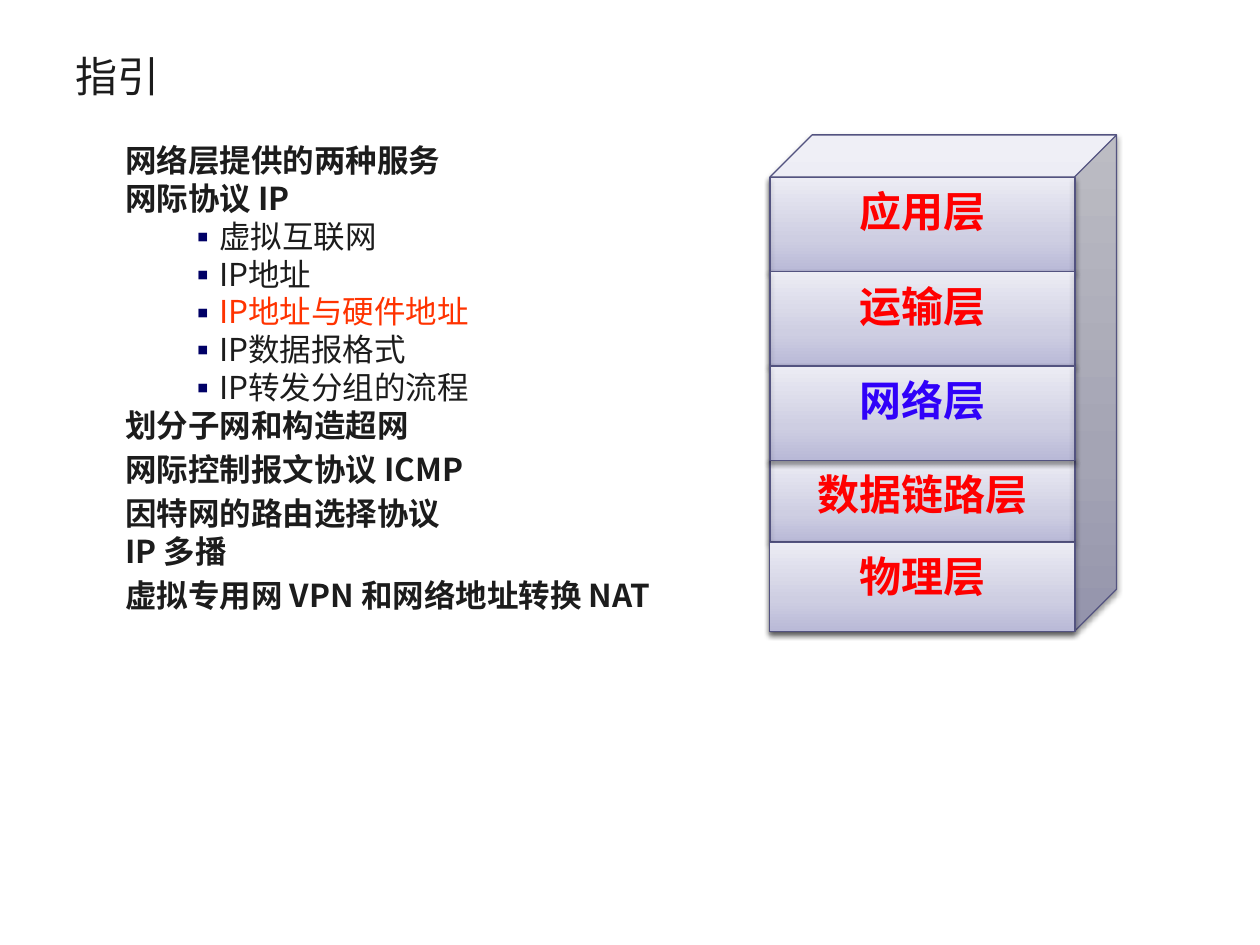
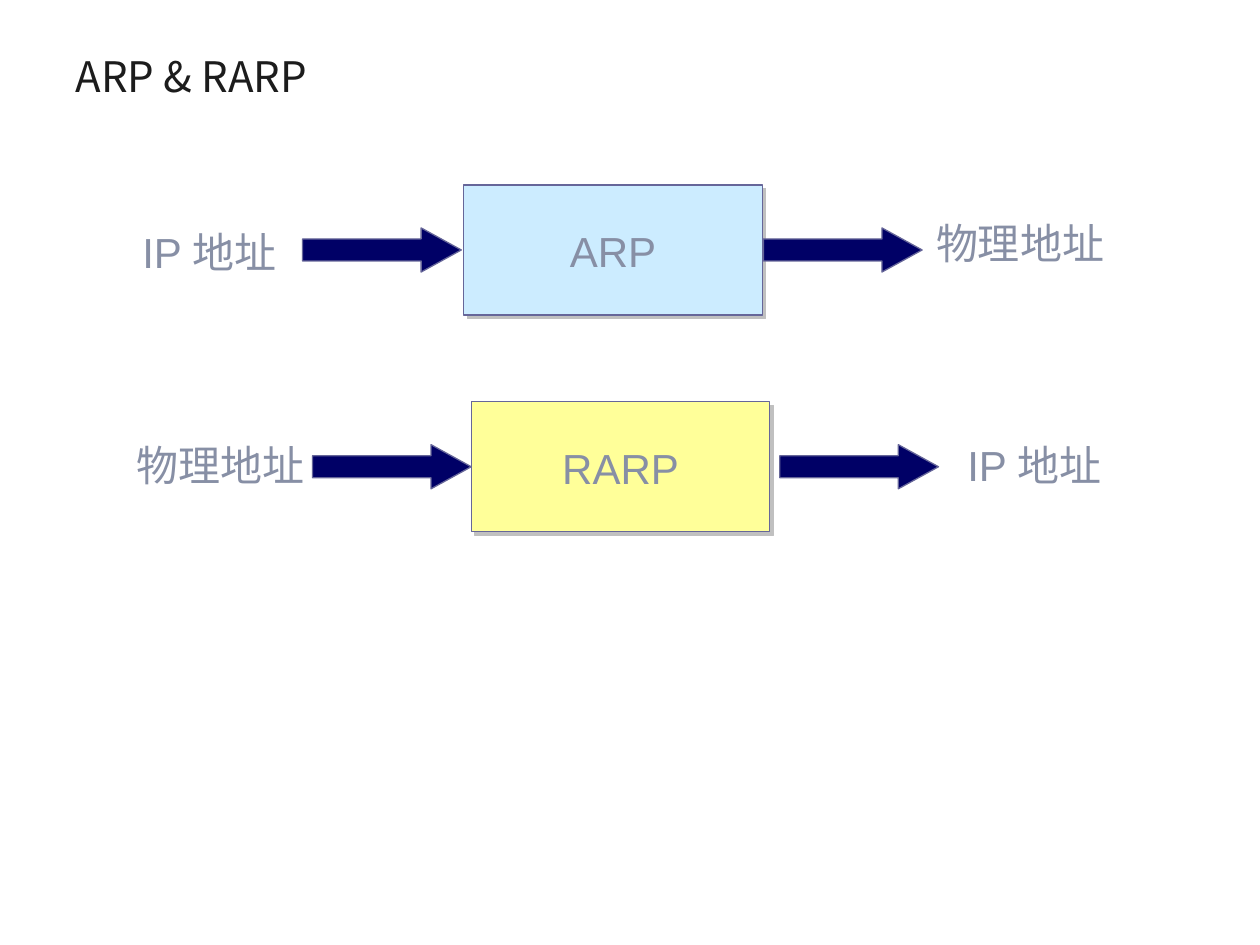
from copy import deepcopy
from dataclasses import dataclass
from typing import Optional

from lxml.etree import SubElement
from pptx import Presentation
from pptx.dml.color import RGBColor
from pptx.enum.shapes import MSO_CONNECTOR, MSO_SHAPE
from pptx.enum.text import MSO_ANCHOR, MSO_AUTO_SIZE, PP_ALIGN
from pptx.oxml.ns import qn
from pptx.util import Cm, Pt

CJK = "Noto Sans CJK SC"
INK, NAVY, RED, BLUE, ORANGE = "1C1C1C", "000066", "FF0000", "3001F9", "FF3300"
GREY, EDGE, OUTLINE = "878FA5", "535380", "666699"
LAYER_GRADIENT = [(0, "B9B9D7"), (0.35, "CECEE2"), (1, "ECECF4")]


@dataclass(frozen=True)
class Shadow:
    color: str
    alpha: int
    blur: float
    distance: float
    angle: int


SOFT = Shadow("000000", 38, 3.1, 1.6, 90)
HARD = Shadow("C0C0C0", 100, 0, 2.8, 45)


@dataclass(frozen=True)
class Item:
    text: str
    level: int = 0
    color: str = INK
    spaced: bool = False


@dataclass(frozen=True)
class Layer:
    name: str
    top: float
    height: float
    font: str = "Lato"
    color: str = RED
    rules: tuple = ()
    sides: bool = True


@dataclass(frozen=True)
class Label:
    text: str
    left: float
    top: float
    width: float


@dataclass(frozen=True)
class Mapping:
    """A protocol box with its input, its output and an arrow on each side."""
    protocol: str
    fill: str
    left: float
    top: float
    arrows: tuple
    labels: tuple


OUTLINE_ITEMS = [
    Item("网络层提供的两种服务"),
    Item("网际协议 IP"),
    Item("虚拟互联网", 1),
    Item("IP地址", 1),
    Item("IP地址与硬件地址", 1, ORANGE),
    Item("IP数据报格式", 1),
    Item("IP转发分组的流程", 1),
    Item("划分子网和构造超网"),
    Item("网际控制报文协议 ICMP", spaced=True),
    Item("因特网的路由选择协议", spaced=True),
    Item("IP 多播"),
    Item("虚拟专用网 VPN 和网络地址转换 NAT", spaced=True),
]

STACK_LEFT, STACK_WIDTH = 15.52, 6.15
LAYERS = [
    Layer("应用层", 3.58, 1.9, CJK, rules=(5.48,)),
    Layer("运输层", 5.48, 1.9, CJK, rules=(7.38,)),
    Layer("数据链路层", 9.28, 1.65, rules=(9.28,)),
    Layer("网络层", 7.38, 1.9, color=BLUE),
    Layer("物理层", 10.93, 1.8, sides=False),
]

BOX_WIDTH, BOX_HEIGHT = 6.02, 2.62
ARROW_WIDTH, ARROW_HEIGHT = 3.2, 0.89
IP_WIDTH, PHYSICAL_WIDTH, LABEL_HEIGHT = 3.25, 3.94, 1.27
MAPPINGS = [
    Mapping("ARP", "CCECFF", 9.35, 3.73, (6.1, 15.39),
            (Label("IP 地址", 2.62, 4.39, IP_WIDTH),
             Label("物理地址", 18.62, 4.22, PHYSICAL_WIDTH))),
    Mapping("RARP", "FFFF99", 9.5, 8.1, (6.3, 15.72),
            (Label("物理地址", 2.51, 8.69, PHYSICAL_WIDTH),
             Label("IP 地址", 19.25, 8.69, IP_WIDTH))),
]


def rgb(color: str) -> RGBColor:
    return RGBColor.from_string(color)


def add_run(p, text: str, size: float, font: str, color: str, bold: bool = False) -> None:
    r = p.add_run()
    r.text = text
    r.font.size, r.font.name, r.font.bold = Pt(size), font, bold
    r.font.color.rgb = rgb(color)
    SubElement(r.font._element, qn("a:ea"), typeface=CJK)


def place(shape, left: float, top: float, width: float, height: float) -> None:
    shape.left, shape.top, shape.width, shape.height = map(Cm, (left, top, width, height))


def set_line(shape, color: str) -> None:
    shape.line.color.rgb = rgb(color)
    shape.line.width = Pt(0.75)


def set_shadow(shape, shadow: Optional[Shadow]) -> None:
    """Call after fill and line, as the effects come last."""
    effects = SubElement(shape._element.spPr, qn("a:effectLst"))
    if shadow:
        outer = SubElement(effects, qn("a:outerShdw"), blurRad=str(Pt(shadow.blur)),
                           dist=str(Pt(shadow.distance)), dir=str(shadow.angle * 60000),
                           algn="ctr", rotWithShape="0")
        clr = SubElement(outer, qn("a:srgbClr"), val=shadow.color)
        SubElement(clr, qn("a:alpha"), val=str(shadow.alpha * 1000))


def set_layer_fill(shape) -> None:
    """Three-stop gradient that lightens from bottom to top."""
    shape.fill.gradient()
    shape.fill.gradient_angle = 90
    stops = shape._element.spPr.find(".//" + qn("a:gsLst"))
    stops.insert(1, deepcopy(stops[0]))
    for stop, (position, color) in zip(shape.fill.gradient_stops, LAYER_GRADIENT):
        stop.position = position
        stop.color.rgb = rgb(color)


def add_block(shapes, kind, left: float, top: float, width: float, height: float,
              fill: Optional[str], line: str, shadow: Optional[Shadow]):
    """A preset shape; without a fill colour it gets the layer gradient."""
    shape = shapes.add_shape(kind, Cm(left), Cm(top), Cm(width), Cm(height))
    if fill:
        shape.fill.solid()
        shape.fill.fore_color.rgb = rgb(fill)
    else:
        set_layer_fill(shape)
    set_line(shape, line)
    set_shadow(shape, shadow)
    return shape


def add_edge(shapes, x1: float, y1: float, x2: float, y2: float) -> None:
    line = shapes.add_connector(MSO_CONNECTOR.STRAIGHT, Cm(x1), Cm(y1), Cm(x2), Cm(y2))
    set_line(line, EDGE)
    set_shadow(line, SOFT)


def write_line(shape, text: str, font: str, color: str, align=PP_ALIGN.LEFT,
               anchor=MSO_ANCHOR.TOP, bold: bool = False) -> None:
    tf = shape.text_frame
    tf.word_wrap, tf.vertical_anchor = True, anchor
    p = tf.paragraphs[0]
    p.alignment, p.line_spacing = align, Pt(30)
    add_run(p, text, 24, font, color, bold)


def add_titled_slide(prs, layout: int, title: str):
    s = prs.slides.add_slide(prs.slide_layouts[layout])
    place(s.shapes.title, 1.27, 0.76, 22.86, 1.55)
    tf = s.shapes.title.text_frame
    tf.auto_size, tf.vertical_anchor = MSO_AUTO_SIZE.NONE, MSO_ANCHOR.MIDDLE
    p = tf.paragraphs[0]
    p.alignment = PP_ALIGN.LEFT
    add_run(p, title, 24, CJK, INK)
    return s


def fill_outline(body, items: list) -> None:
    place(body, 1.27, 2.72, 22.86, 13.28)
    tf = body.text_frame
    tf.auto_size = MSO_AUTO_SIZE.NONE
    for i, item in enumerate(items):
        p = tf.paragraphs[0] if i == 0 else tf.add_paragraph()
        p.level = item.level
        p.line_spacing = Pt(21.6)
        p.space_before = Pt(3.6 if item.spaced else 0)
        margin, indent = (2.29, -0.03) if item.level else (0.97, 0.03)
        pPr = p._p.get_or_add_pPr()
        pPr.set("marL", str(Cm(margin)))
        pPr.set("indent", str(Cm(indent)))
        if item.level:
            SubElement(SubElement(pPr, qn("a:buClr")), qn("a:srgbClr"), val=NAVY)
            SubElement(pPr, qn("a:buFont"), typeface=CJK)
            SubElement(pPr, qn("a:buChar"), char="▪")
        else:
            SubElement(pPr, qn("a:buNone"))
        add_run(p, item.text, 18, CJK, item.color, item.level == 0)


def draw_stack(s) -> None:
    shapes = s.shapes.add_group_shape().shapes
    cube = add_block(shapes, MSO_SHAPE.CUBE, STACK_LEFT, 2.72, 6.99, 10.01,
                     None, EDGE, SOFT)
    cube.adjustments[0] = 0.122
    right = STACK_LEFT + STACK_WIDTH
    for layer in LAYERS:
        face = add_block(shapes, MSO_SHAPE.RECTANGLE, STACK_LEFT, layer.top,
                         STACK_WIDTH, layer.height, None, EDGE, SOFT)
        write_line(face, layer.name, layer.font, layer.color, PP_ALIGN.CENTER, bold=True)
        for y in layer.rules:
            add_edge(shapes, STACK_LEFT, y, right, y)
        if layer.sides:
            for x in (STACK_LEFT, right):
                add_edge(shapes, x, layer.top, x, layer.top + layer.height)


def draw_mapping(s, mapping: Mapping) -> None:
    for label in mapping.labels:
        box = s.shapes.add_textbox(Cm(label.left), Cm(label.top),
                                   Cm(label.width), Cm(LABEL_HEIGHT))
        write_line(box, label.text, "Arial", GREY)
    box = add_block(s.shapes, MSO_SHAPE.RECTANGLE, mapping.left, mapping.top,
                    BOX_WIDTH, BOX_HEIGHT, mapping.fill, OUTLINE, HARD)
    write_line(box, mapping.protocol, "Arial", GREY, PP_ALIGN.CENTER, MSO_ANCHOR.MIDDLE)
    arrow_top = mapping.top + (BOX_HEIGHT - ARROW_HEIGHT) / 2
    for left in mapping.arrows:
        arrow = add_block(s.shapes, MSO_SHAPE.RIGHT_ARROW, left, arrow_top,
                          ARROW_WIDTH, ARROW_HEIGHT, NAVY, OUTLINE, None)
        arrow.adjustments[1] = 0.91


def main() -> None:
    prs = Presentation()
    prs.slide_width, prs.slide_height = Cm(25.4), Cm(19.05)

    s = add_titled_slide(prs, 1, "指引")
    fill_outline(s.placeholders[1], OUTLINE_ITEMS)
    draw_stack(s)

    s = add_titled_slide(prs, 5, "ARP & RARP")
    for mapping in MAPPINGS:
        draw_mapping(s, mapping)

    prs.save("out.pptx")


if __name__ == "__main__":
    main()
